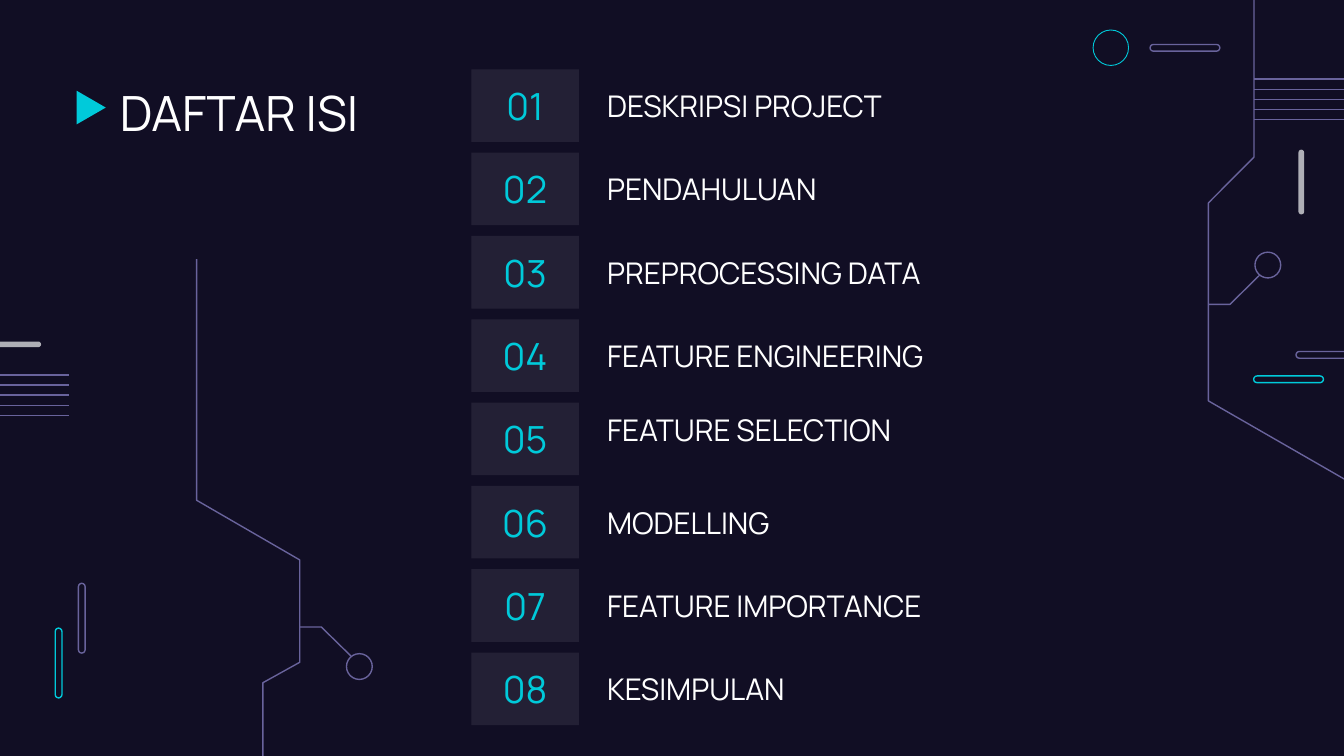
from lxml import etree
from pptx import Presentation
from pptx import util as u
from pptx.dml import color
from pptx.enum import shapes, text
from pptx.oxml import ns

Pt = u.Pt
WHITE, CYAN, PURPLE, GREY, NIGHT = "FFFFFF", "00CADA", "69639C", "AFAFB6", "110E24"
SHAPE = shapes.MSO_SHAPE
CHAPTERS = ["DESKRIPSI PROJECT", "PENDAHULUAN", "PREPROCESSING DATA", "FEATURE ENGINEERING",
            "FEATURE SELECTION", "MODELLING", "FEATURE IMPORTANCE", "KESIMPULAN"]


def paint(target, hex_color):
    """Give a fill a solid colour."""
    target.solid()
    target.fore_color.rgb = color.RGBColor.from_string(hex_color)


def style(sp, fill=None, line=None, width=0.75, alpha=None):
    """Set fill, line and opacity, without a shadow."""
    sp.shadow.inherit = False
    if fill:
        paint(sp.fill, fill)
    else:
        sp.fill.background()
    if line:
        paint(sp.line.fill, line)
        sp.line.width = Pt(width)
    else:
        sp.line.fill.background()
    if alpha:
        clr = sp._element.spPr.find(ns.qn("a:solidFill"))[0]
        etree.SubElement(clr, ns.qn("a:alpha")).set("val", str(alpha * 1000))


def add_shape(s, kind, x, y, w, h, **look):
    """Add a styled preset shape."""
    sp = s.shapes.add_shape(kind, Pt(x), Pt(y), Pt(w), Pt(h))
    style(sp, **look)
    return sp


def write(sp, words, size, hex_color=WHITE, align=text.PP_ALIGN.LEFT,
          anchor=text.MSO_ANCHOR.MIDDLE):
    """Write one formatted paragraph into a shape."""
    tf = sp.text_frame
    tf.word_wrap = True
    tf.auto_size = text.MSO_AUTO_SIZE.NONE
    tf.vertical_anchor = anchor
    tf.margin_left = tf.margin_right = tf.margin_top = tf.margin_bottom = Pt(7.2)
    p = tf.paragraphs[0]
    p.alignment = align
    r = p.add_run()
    r.text = words
    r.font.name, r.font.size = "Manrope", Pt(size)
    r.font.color.rgb = color.RGBColor.from_string(hex_color)


def add_pill(s, x, y, w, h, **look):
    """Add a bar with fully rounded ends."""
    add_shape(s, SHAPE.ROUNDED_RECTANGLE, x, y, w, h, **look).adjustments[0] = 0.5


def add_trace(s, x, y, points):
    """Draw an open circuit trace through points relative to x, y."""
    (x0, y0), *rest = [(Pt(x + dx), Pt(y + dy)) for dx, dy in points]
    fb = s.shapes.build_freeform(x0, y0, scale=1.0)
    fb.add_line_segments(rest, close=False)
    style(fb.convert_to_shape(), line=PURPLE)


def add_stripes(s, x, y, w, count=5, gap=5.4):
    """Draw evenly spaced horizontal lines."""
    for i in range(count):
        ln = s.shapes.add_connector(shapes.MSO_CONNECTOR.STRAIGHT, Pt(x), Pt(y + i * gap),
                                    Pt(x + w), Pt(y + i * gap))
        paint(ln.line.fill, PURPLE)
        ln.line.width = Pt(0.75)
        etree.SubElement(ln._element.spPr, ns.qn("a:effectLst"))


def add_left_circuit(s, x, y):
    """Decorate the left side from its top left corner."""
    add_pill(s, x + 29.6, y + 336.5, 3.6, 37.4, line=CYAN)
    add_pill(s, x + 42, y + 312.5, 3.6, 37.4, line=PURPLE)
    add_pill(s, x - 13, y + 183, 35, 3, fill=GREY)
    add_stripes(s, x - 44, y + 200.9, 81)
    add_trace(s, x + 160.6, y + 335.9, [(27.4, 15.6), (11.5, 0), (0, 0)])
    add_shape(s, SHAPE.OVAL, x + 185.6, y + 350.2, 13.8, 13.8, line=PURPLE)
    add_trace(s, x + 105.3, y + 138.8,
              [(0, 0), (0, 129.2), (55.3, 161.2), (55.3, 216), (35.5, 227), (35.5, 272.5)])


def add_right_circuit(s, x, y):
    """Decorate the right side from its top left corner."""
    add_shape(s, SHAPE.OVAL, x + 5.6, y + 16.1, 19, 19, line=CYAN, width=0.47)
    add_pill(s, x + 36.1, y + 23.8, 37.4, 3.6, line=PURPLE)
    add_pill(s, x + 91.6, y + 201.4, 37.4, 3.6, line=CYAN)
    add_pill(s, x + 114.3, y + 188.3, 37.4, 3.6, line=PURPLE)
    add_pill(s, x + 115.6, y + 80.2, 3.1, 34.7, fill=GREY)
    add_trace(s, x + 67.4, y + 147.4, [(27.4, 0), (11.5, 15.7), (0, 15.7)])
    add_shape(s, SHAPE.OVAL, x + 92.3, y + 135.1, 13.8, 13.8, line=PURPLE)
    add_trace(s, x + 67.4, y - 4.3,
              [(81, 265.7), (0, 219.1), (0, 113), (24.4, 88.5), (24.4, 0)])
    add_stripes(s, x + 91.8, y + 42.4, 106)


def add_heading(s, x, y, w, h):
    """Place the title and the arrow before it."""
    sp = s.shapes.title
    sp.left, sp.top, sp.width, sp.height = Pt(x), Pt(y), Pt(w), Pt(h)
    write(sp, "DAFTAR ISI", 26, anchor=text.MSO_ANCHOR.TOP)
    arrow = add_shape(s, SHAPE.FLOWCHART_MERGE, x - 17.1, y + 12.4, 18, 15.6, fill=CYAN)
    arrow.rotation = 270


def add_contents(s, x, y, w, h, row_h=38.9):
    """List the numbered chapters in equal rows over the box."""
    pitch = (h - row_h) / (len(CHAPTERS) - 1)
    label_x = x + 65.7
    for i, chapter in enumerate(CHAPTERS):
        top = y + i * pitch
        box = add_shape(s, SHAPE.RECTANGLE, x, top, 57.6, row_h, fill=WHITE, alpha=8)
        write(box, f"{i + 1:02}", 20, CYAN, text.PP_ALIGN.CENTER)
        lift = 5 if chapter == "FEATURE SELECTION" else 0
        label = s.shapes.add_textbox(Pt(label_x), Pt(top - lift), Pt(x + w - label_x), Pt(row_h))
        write(label, chapter, 16)


def main():
    """Build the contents slide."""
    prs = Presentation()
    prs.slide_width, prs.slide_height = Pt(720), Pt(405)
    s = prs.slides.add_slide(prs.slide_layouts[5])
    paint(s.background.fill, NIGHT)
    add_left_circuit(s, 0, 0)
    add_right_circuit(s, 580, 0)
    add_heading(s, 57, 37.4, 607, 45.4)
    add_contents(s, 252.5, 37.2, 279.5, 351.3)
    prs.save("out.pptx")


if __name__ == "__main__":
    main()
